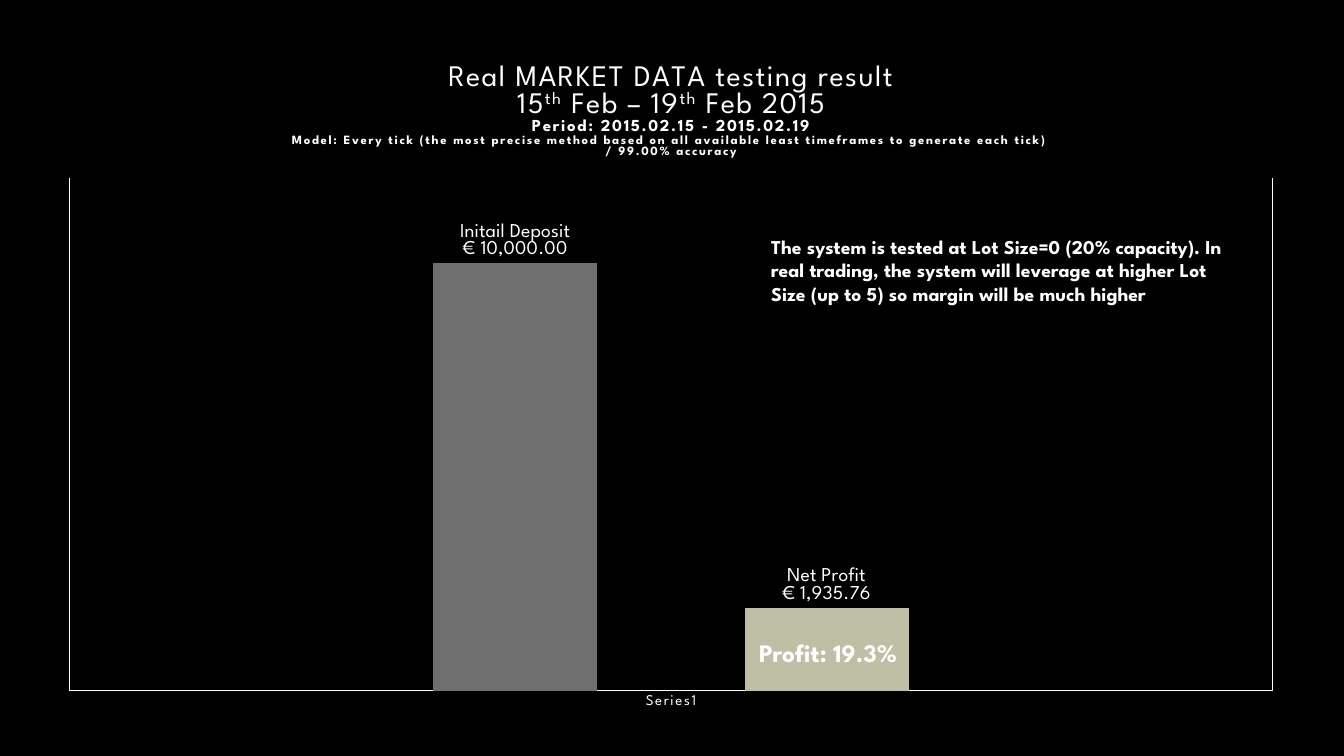
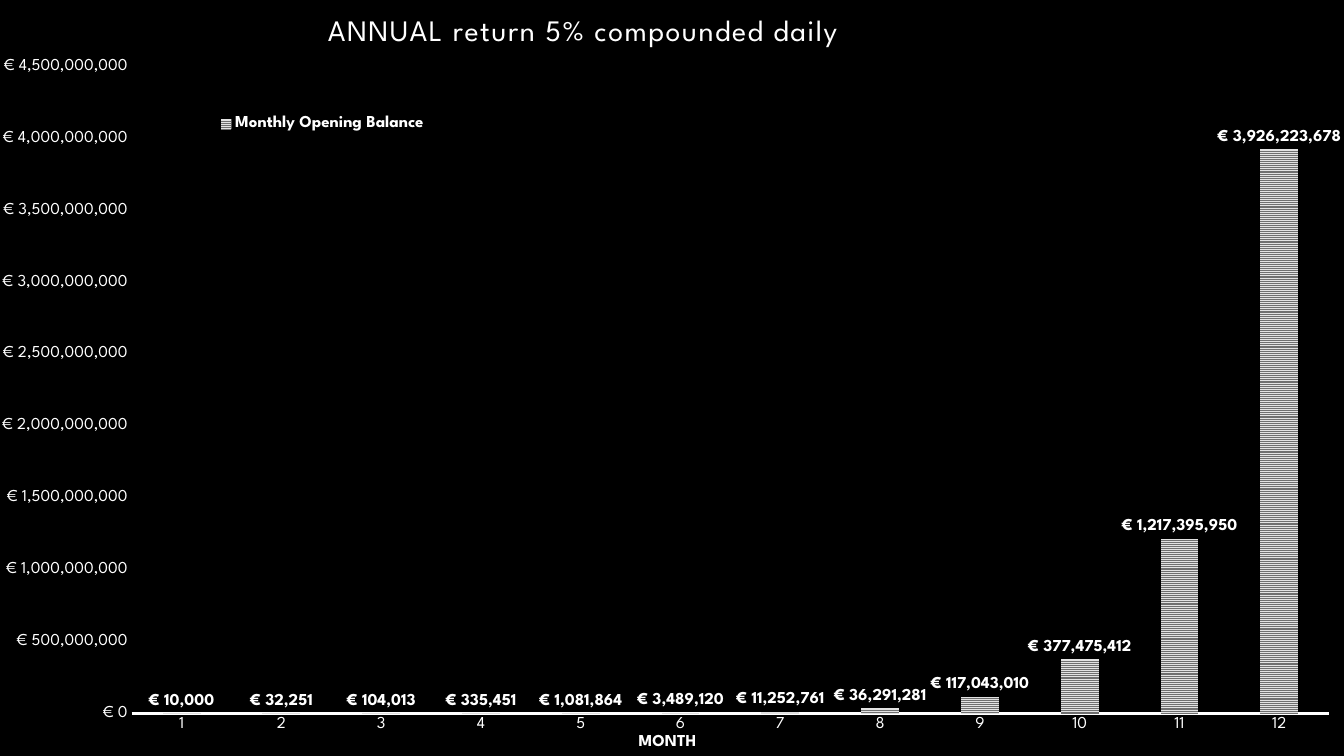
from lxml import etree
from pptx import Presentation
from pptx.chart.data import CategoryChartData
from pptx.dml.color import RGBColor
from pptx.enum.chart import XL_CHART_TYPE, XL_LABEL_POSITION, XL_LEGEND_POSITION, XL_TICK_MARK
from pptx.enum.dml import MSO_PATTERN
from pptx.enum.text import PP_ALIGN
from pptx.oxml.ns import qn
from pptx.util import Inches, Pt

COLUMNS = XL_CHART_TYPE.COLUMN_CLUSTERED
OUTSIDE_END = XL_LABEL_POSITION.OUTSIDE_END
LEGEND_BOTTOM = XL_LEGEND_POSITION.BOTTOM
NO_TICK = XL_TICK_MARK.NONE
NARROW_HORIZONTAL = MSO_PATTERN.NARROW_HORIZONTAL
LEFT, CENTER = PP_ALIGN.LEFT, PP_ALIGN.CENTER

BLACK = RGBColor(0x00, 0x00, 0x00)
WHITE = RGBColor(0xFF, 0xFF, 0xFF)
GRAY = RGBColor(0x6F, 0x6F, 0x6F)
LIGHT_GRAY = RGBColor(0xE2, 0xE2, 0xE2)
SAND = RGBColor(0xBF, 0xBF, 0xA5)

FONT = "League Spartan"
TITLE_SIZE = 21.3
LETTER_SPACING = 120
BLANK_LAYOUT = 6
SLIDE_WIDTH, SLIDE_HEIGHT = 13.33, 7.5

TEST_RESULTS = [("Initail Deposit", 10000, GRAY), ("Net Profit", 1935.76, SAND)]
OPENING_BALANCES = [10000, 32251, 104013, 335451, 1081864, 3489120, 11252761,
                    36291281, 117043010, 377475412, 1217395950, 3926223678]


def style_font(font, size, bold=False, spacing=0):
    font.name = FONT
    font.size = Pt(size)
    font.bold = bold
    font.color.rgb = WHITE
    if spacing:
        font._rPr.set("spc", str(spacing))


def set_layout(element, index, inner=False, **fractions):
    """Place a chart part by fractions (x, y, w, h) of the chart's size."""
    for old_layout in element.findall(qn("c:layout")):
        element.remove(old_layout)
    layout = etree.Element(qn("c:layout"))
    element.insert(index, layout)
    manual = etree.SubElement(layout, qn("c:manualLayout"))
    settings = [("layoutTarget", "inner")] if inner else []
    settings += [("xMode", "edge"), ("yMode", "edge"), *fractions.items()]
    for name, value in settings:
        etree.SubElement(manual, qn("c:" + name)).set("val", str(value))


def add_column_chart(slide, box, categories, series, gap, overlap, plot_area):
    data = CategoryChartData()
    data.categories = categories
    for name, values in series:
        data.add_series(name, values)
    chart = slide.shapes.add_chart(COLUMNS, *map(Inches, box), data).chart
    style_font(chart.font, 10)
    chart.has_legend = False
    plot = chart.plots[0]
    plot.vary_by_categories = False
    plot.gap_width, plot.overlap = gap, overlap
    chart.value_axis.has_major_gridlines = False
    for axis in (chart.category_axis, chart.value_axis):
        axis.major_tick_mark = axis.minor_tick_mark = NO_TICK
    x, y, w, h = plot_area
    area = chart._chartSpace.chart.plotArea
    set_layout(area, 0, inner=True, x=x, y=y, w=w, h=h)
    return chart


def set_white_line(line, width):
    line.color.rgb = WHITE
    line.width = Pt(width)


def set_chart_title(chart, lines):
    """Each line is a list of runs: (text, size, bold, superscript)."""
    frame = chart.chart_title.text_frame
    for number, runs in enumerate(lines):
        paragraph = frame.add_paragraph() if number else frame.paragraphs[0]
        paragraph.alignment = CENTER
        for text, size, bold, superscript in runs:
            run = paragraph.add_run()
            run.text = text
            style_font(run.font, size, bold, LETTER_SPACING)
            if superscript:
                run.font._rPr.set("baseline", "30000")
    chart.chart_title.include_in_layout = False


def label_columns(series, number_format, size, bold=False, with_name=False):
    labels = series.data_labels
    labels.show_value = True
    labels.show_series_name = with_name
    labels.position = OUTSIDE_END
    labels.number_format = number_format
    labels.number_format_is_linked = False
    style_font(labels.font, size, bold)
    if with_name:
        separator = etree.Element(qn("c:separator"))
        separator.text = "\n"
        last_flag = labels._element.find(qn("c:showPercent"))
        bubble_flag = labels._element.find(qn("c:showBubbleSize"))
        (last_flag if bubble_flag is None else bubble_flag).addnext(separator)


def add_note(slide, box, text, size, alignment):
    frame = slide.shapes.add_textbox(*map(Inches, box)).text_frame
    frame.word_wrap = True
    frame.text = text
    paragraph = frame.paragraphs[0]
    paragraph.alignment = alignment
    style_font(paragraph.runs[0].font, size, bold=True)


def build_test_result_slide(slide, box):
    left, top = box[:2]
    series = [(name, [value]) for name, value, _ in TEST_RESULTS]
    chart = add_column_chart(slide, box, ["Series1"], series, 444, -90,
                             (0.02, 0.2, 0.96, 0.753))
    set_chart_title(chart, [
        [("Real MARKET DATA testing result", TITLE_SIZE, False, False)],
        [(text, TITLE_SIZE, False, text == "th")
         for text in ("15", "th", " Feb – 19", "th", " Feb 2015")],
        [("Period: 2015.02.15 - 2015.02.19", 12, True, False)],
        [("Model: Every tick (the most precise method based on all available "
          "least timeframes to generate each tick) ", 9, True, False)],
        [("/ 99.00% accuracy", 9, True, False)],
    ])
    for column, (_, _, color) in zip(chart.plots[0].series, TEST_RESULTS):
        column.format.fill.solid()
        column.format.fill.fore_color.rgb = color
        label_columns(column, '"€" #,##0.00', 14, with_name=True)
    months = chart.category_axis
    style_font(months.tick_labels.font, 10.6, spacing=LETTER_SPACING)
    set_white_line(months.format.line, 0.75)
    months.has_major_gridlines = True
    set_white_line(months.major_gridlines.format.line, 0.75)
    amounts = chart.value_axis
    amounts.minimum_scale, amounts.maximum_scale = 0, 12000
    amounts.visible = False

    add_note(slide, (left + 6.89, top + 5.86, 1.77, 0.4), "Profit: 19.3%", 18, CENTER)
    add_note(slide, (left + 7.11, top + 1.87, 4.83, 0.81),
             "The system is tested at Lot Size=0 (20% capacity). In real trading, "
             "the system will leverage at higher Lot Size (up to 5) so margin "
             "will be much higher", 14, LEFT)


def build_annual_return_slide(slide, box):
    months = [str(month) for month in range(1, len(OPENING_BALANCES) + 1)]
    series = [("Monthly Opening Balance", OPENING_BALANCES)]
    chart = add_column_chart(slide, box, months, series, 164, -22,
                             (0.098, 0.089, 0.891, 0.859))
    set_chart_title(chart, [[("ANNUAL return 5% compounded daily",
                              TITLE_SIZE, False, False)]])
    set_layout(chart.chart_title._element, 1, x=0.24, y=0.015)

    balance = chart.plots[0].series[0]
    fill = balance.format.fill
    fill.patterned()
    fill.pattern = NARROW_HORIZONTAL
    fill.fore_color.rgb, fill.back_color.rgb = GRAY, LIGHT_GRAY
    label_columns(balance, '"€" #,##0', 12, bold=True)

    month_axis = chart.category_axis
    style_font(month_axis.tick_labels.font, 12)
    set_white_line(month_axis.format.line, 1.5)
    axis_title = month_axis.axis_title
    axis_title.text_frame.text = "MONTH"
    style_font(axis_title.text_frame.paragraphs[0].runs[0].font, 12, bold=True)
    set_layout(axis_title._element, 1, x=0.473, y=0.97)

    amounts = chart.value_axis
    amounts.minimum_scale, amounts.maximum_scale = 0, 4_500_000_000
    amounts.major_unit = 500_000_000
    amounts.tick_labels.number_format = '"€" #,##0'
    amounts.tick_labels.number_format_is_linked = False
    style_font(amounts.tick_labels.font, 12)
    amounts.format.line.fill.background()

    chart.has_legend = True
    legend = chart.legend
    legend.position = LEGEND_BOTTOM
    legend.include_in_layout = False
    style_font(legend.font, 12, bold=True)
    set_layout(legend._element, 1, x=0.155, y=0.15, w=0.17, h=0.03)


def main():
    presentation = Presentation()
    presentation.slide_width = Inches(SLIDE_WIDTH)
    presentation.slide_height = Inches(SLIDE_HEIGHT)
    background = presentation.slide_master.background.fill
    background.solid()
    background.fore_color.rgb = BLACK
    layout = presentation.slide_layouts[BLANK_LAYOUT]
    build_test_result_slide(presentation.slides.add_slide(layout),
                            (0.44, 0.41, 12.43, 6.76))
    build_annual_return_slide(presentation.slides.add_slide(layout),
                              (0, 0, SLIDE_WIDTH, SLIDE_HEIGHT))
    presentation.save("out.pptx")


if __name__ == "__main__":
    main()
